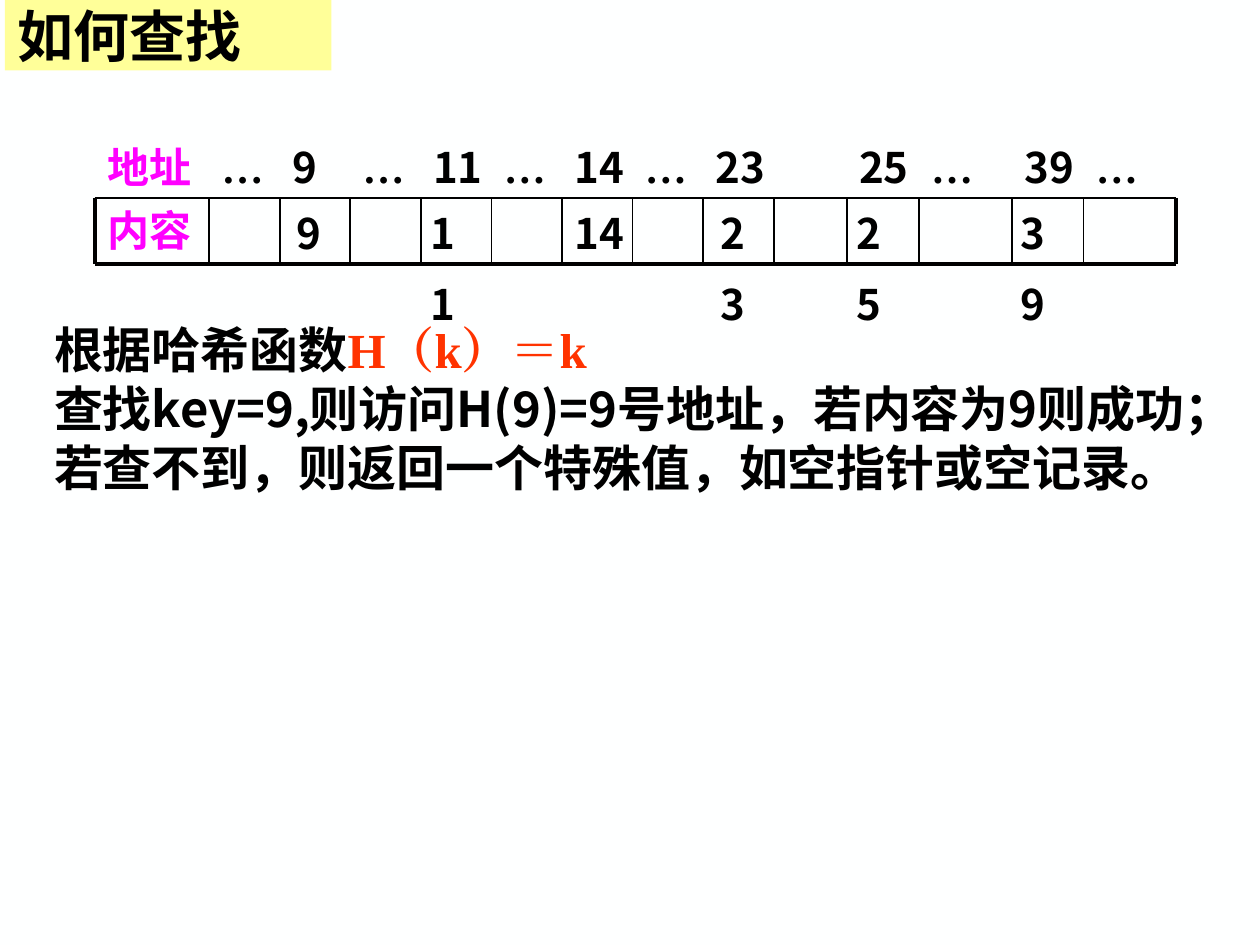
import pptx
import pptx.dml.color
import pptx.enum.shapes
import pptx.enum.text
import pptx.oxml.ns
import pptx.util
from lxml import etree
from pptx.util import Cm

COLORS = {"black": "000000", "pink": "FF00FF", "red": "FF3300",
          "yellow": "FFFF99", "paper": "FEFFFF"}
SANS, SERIF = "Noto Sans CJK SC", "Times New Roman"
EDGES = [1.91, 4.22, 5.64, 7.06, 8.48, 9.91, 11.33, 12.75, 14.17, 15.6,
         17.07, 18.52, 20.4, 21.84, 23.7]
ADDRESSES = ["地址", "…", "9", "…", "11", "…", "14", "…", "23", None,
             "25", "…", "39", "…"]
CONTENTS = [("9", 5.72, 1.0), ("11", 8.43, 1.42), ("14", 11.33, 2.16),
            ("23", 14.27, 1.42), ("25", 17.02, 1.42), ("39", 20.32, 1.42)]
ADDRESS_TOP, ROW_TOP, ROW_BOTTOM, CONTENT_TOP = 2.72, 3.99, 5.33, 3.66


def rgb(name):
    """Return the named colour."""
    return pptx.dml.color.RGBColor.from_string(COLORS[name])


def add_span(para, text, size, color="black", face=SANS):
    """Append bold text to a paragraph."""
    span = para.add_run()
    span.text = text
    values = {"size": pptx.util.Pt(size), "bold": True, "name": face}
    for key, value in values.items():
        setattr(span.font, key, value)
    span.font.color.rgb = rgb(color)
    east = etree.SubElement(span.font._element, pptx.oxml.ns.qn("a:ea"))
    east.set("typeface", face)


def add_text(page, left, top, width, height, paras, size, spacing=None):
    """Add a wrapping text box holding paragraphs of (text, colour, face) spans."""
    box = page.shapes.add_textbox(Cm(left), Cm(top), Cm(width), Cm(height))
    box.text_frame.word_wrap = True
    for index, spans in enumerate(paras):
        frame = box.text_frame
        para = frame.add_paragraph() if index else frame.paragraphs[0]
        para.line_spacing = spacing
        for text, color, face in spans:
            add_span(para, text, size, color, face)


def add_rule(page, start, end, weight):
    """Add a straight black line without shadow."""
    points = [Cm(value) for value in (*start, *end)]
    rule = page.shapes.add_connector(
        pptx.enum.shapes.MSO_CONNECTOR.STRAIGHT, *points)
    rule.line.color.rgb = rgb("black")
    rule.line.width = pptx.util.Pt(weight)
    etree.SubElement(rule._element.spPr, pptx.oxml.ns.qn("a:effectLst"))


def add_title(page, text):
    """Add the highlighted heading."""
    box = page.shapes.add_shape(pptx.enum.shapes.MSO_SHAPE.RECTANGLE,
                                Cm(0.1), Cm(0), Cm(6.58), Cm(1.42))
    box.shadow.inherit = False
    box.fill.solid()
    box.fill.fore_color.rgb = rgb("yellow")
    box.line.fill.background()
    box.text_frame.vertical_anchor = pptx.enum.text.MSO_ANCHOR.MIDDLE
    para = box.text_frame.paragraphs[0]
    para.alignment = pptx.enum.text.PP_ALIGN.LEFT
    add_span(para, text, 32)


def add_hash_table(page):
    """Draw the row of storage cells with addresses and contents."""
    for left, right, text in zip(EDGES, EDGES[1:], ADDRESSES):
        if text:
            color = "pink" if text == "地址" else "black"
            face = SERIF if text == "…" else SANS
            width = max(right - left, 1.85) if text.isdigit() else right - left
            add_text(page, left, ADDRESS_TOP, width, 1.27,
                     [[(text, color, face)]], 24)
    add_text(page, EDGES[0], ROW_TOP, EDGES[1] - EDGES[0],
             ROW_BOTTOM - ROW_TOP, [[("内容", "pink", SANS)]], 24)
    for edge in EDGES:
        weight = 2.25 if edge in (EDGES[0], EDGES[-1]) else 1
        add_rule(page, (edge, ROW_TOP), (edge, ROW_BOTTOM), weight)
    for level, weight in ((ROW_TOP, 1), (ROW_BOTTOM, 2.25)):
        add_rule(page, (EDGES[0], level), (EDGES[-1], level), weight)
    for text, left, width in CONTENTS:
        add_text(page, left, CONTENT_TOP, width, 1.68,
                 [[(text, "black", SANS)]], 24, 1.4)


def main():
    """Build and save the slide."""
    deck = pptx.Presentation()
    deck.slide_width, deck.slide_height = Cm(25.4), Cm(19.05)
    page = deck.slides.add_slide(deck.slide_layouts[6])
    page.background.fill.solid()
    page.background.fill.fore_color.rgb = rgb("paper")
    add_text(page, 0.84, 6.32, 24.56, 3.81, [
        [("根据哈希函数", "black", SANS), ("H（k）＝k", "red", SERIF)],
        [("查找key=9,则访问H(9)=9号地址，若内容为9则成功；", "black", SANS)],
        [("若查不到，则返回一个特殊值，如空指针或空记录。", "black", SANS)],
    ], 28)
    add_title(page, "如何查找")
    add_hash_table(page)
    deck.save("out.pptx")


if __name__ == "__main__":
    main()
